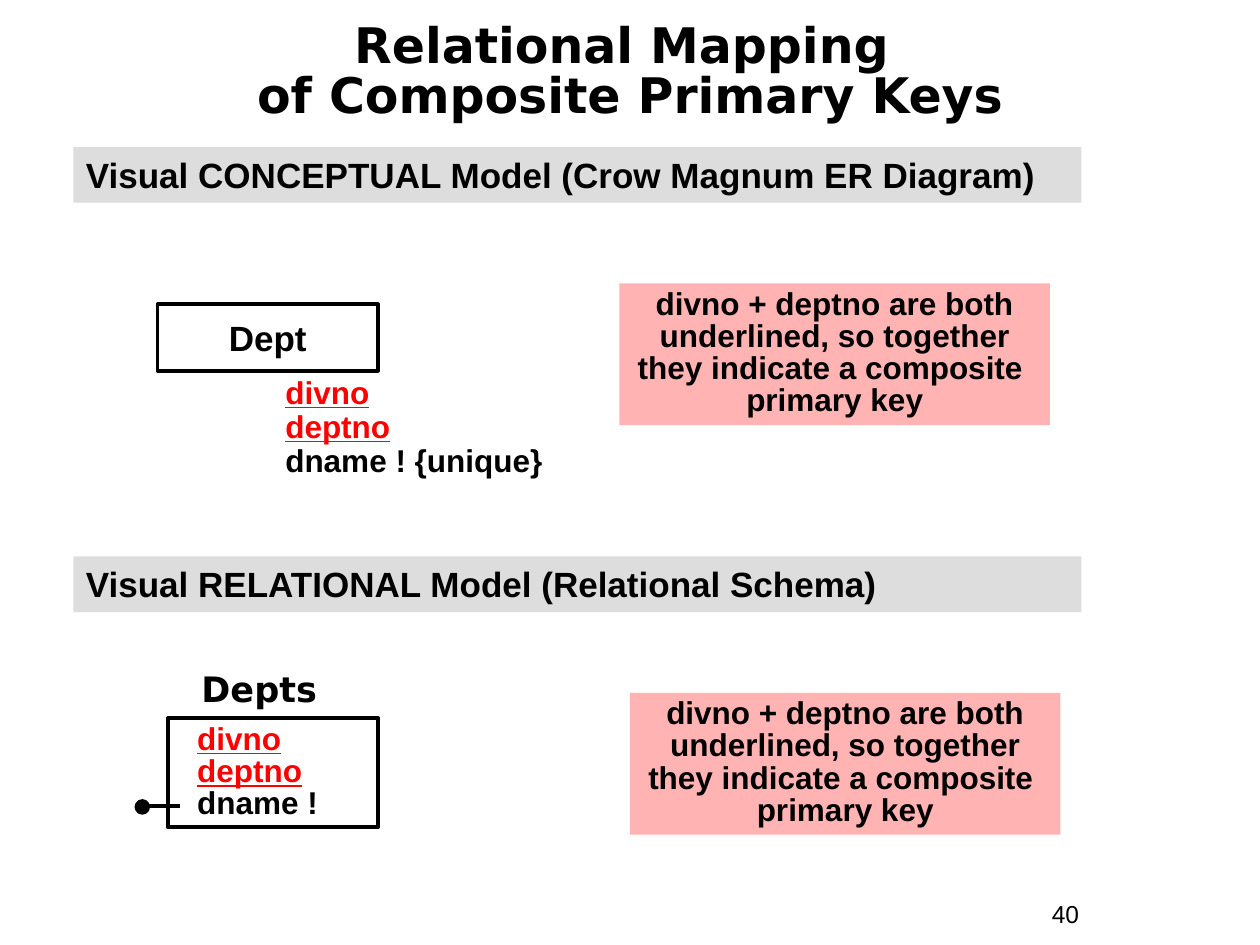
from lxml import etree
from pptx import Presentation
from pptx.dml.color import RGBColor
from pptx.enum.shapes import MSO_CONNECTOR, MSO_SHAPE
from pptx.enum.text import MSO_ANCHOR, PP_ALIGN
from pptx.oxml.ns import qn
from pptx.util import Pt

RECT, OVAL = MSO_SHAPE.RECTANGLE, MSO_SHAPE.OVAL
STRAIGHT = MSO_CONNECTOR.STRAIGHT
LEFT, CENTER = PP_ALIGN.LEFT, PP_ALIGN.CENTER
TOP, MIDDLE = MSO_ANCHOR.TOP, MSO_ANCHOR.MIDDLE
PX = 7620  # 120 px to the inch
SANS, HEAD = "Arial", "DejaVu Sans"
BLACK, RED, GRAY, PINK = "000000", "FF0000", "DDDDDD", "FFB3B3"
NOTE = ("divno + deptno are both underlined, so together "
        "they indicate a composite \vprimary key")


def emu(*px):
    return [n * PX for n in px]


def color(code):
    return RGBColor.from_string(code)


def write(shape, paras, size, font=SANS, bold=True, align=LEFT,
          anchor=TOP, gap=1.0, indent=0, wrap=True):
    """Fill a shape with (text, colour) paragraphs; red ones are underlined."""
    frame = shape.text_frame
    frame.word_wrap = wrap
    frame.vertical_anchor = anchor
    for i, (text, code) in enumerate(paras):
        para = frame.add_paragraph() if i else frame.paragraphs[0]
        para.text = text
        para.alignment = align
        para.line_spacing = gap
        if indent:
            para._p.get_or_add_pPr().set("marL", str(indent * PX))
        for run in para.runs:
            run.font.name = font
            run.font.size = Pt(size)
            run.font.bold = bold
            run.font.underline = code == RED
            run.font.color.rgb = color(code)


def label(slide, box, paras, size, **style):
    write(slide.shapes.add_textbox(*emu(*box)), paras, size, **style)


def block(shapes, box, fill=None, line=None, kind=RECT):
    shape = shapes.add_shape(kind, *emu(*box))
    shape.shadow.inherit = False
    if fill:
        shape.fill.solid()
        shape.fill.fore_color.rgb = color(fill)
    else:
        shape.fill.background()
    if line:
        shape.line.color.rgb = color(line)
        shape.line.width = Pt(2.25)
    else:
        shape.line.fill.background()
    return shape


def banner(slide, box, text):
    write(block(slide.shapes, box, GRAY), [(text, BLACK)], 20)


def note(slide, box):
    write(block(slide.shapes, box, PINK), [(NOTE, BLACK)], 18,
          align=CENTER, gap=0.85)


def entity(slide, x, y):
    """Conceptual box with its attributes below."""
    box = block(slide.shapes, (x, y, 210, 63), line=BLACK)
    write(box, [("Dept", BLACK)], 20, align=CENTER, anchor=MIDDLE, wrap=False)
    rows = [("divno", RED), ("deptno", RED), ("dname ! {unique}", BLACK)]
    label(slide, (x + 110, y + 63, 290, 109), rows, 18, gap=0.9)


def table(slide, x, y):
    """Relational box with its name above and a key mark on the left."""
    label(slide, (x + 20, y - 54, 167, 53), [("Depts", BLACK)], 20, font=HEAD)
    box = block(slide.shapes, (x, y, 200, 104), line=BLACK)
    write(box, [("divno\vdeptno", RED), ("dname !", BLACK)], 18,
          gap=0.85, indent=16)
    mark(slide, x - 30, y + 79)


def mark(slide, x, y):
    """Dot and bar that flag a unique column."""
    group = slide.shapes.add_group_shape()
    block(group.shapes, (x, y, 11, 11), BLACK, BLACK, OVAL)
    bar = group.shapes.add_connector(
        STRAIGHT, *emu(x + 11, y + 5, x + 41, y + 5))
    bar.line.color.rgb = color(BLACK)
    bar.line.width = Pt(2.25)
    etree.SubElement(bar._element.spPr, qn("a:effectLst"))


def main():
    deck = Presentation()
    deck.slide_width, deck.slide_height = emu(1200, 900)
    slide = deck.slides.add_slide(deck.slide_layouts[6])
    label(slide, (30, 40, 1140, 60),
          [("Relational Mapping \vof Composite Primary Keys", BLACK)], 28,
          font=HEAD, align=CENTER, anchor=MIDDLE, gap=0.85)
    banner(slide, (70, 140, 960, 53),
           "Visual CONCEPTUAL Model (Crow Magnum ER Diagram)")
    entity(slide, 150, 290)
    note(slide, (590, 270, 410, 135))
    banner(slide, (70, 530, 960, 53),
           "Visual RELATIONAL Model (Relational Schema)")
    table(slide, 160, 684)
    note(slide, (600, 660, 410, 135))
    label(slide, (990, 850, 110, 41), [("40", BLACK)], 14, bold=False)
    deck.save("out.pptx")


if __name__ == "__main__":
    main()
